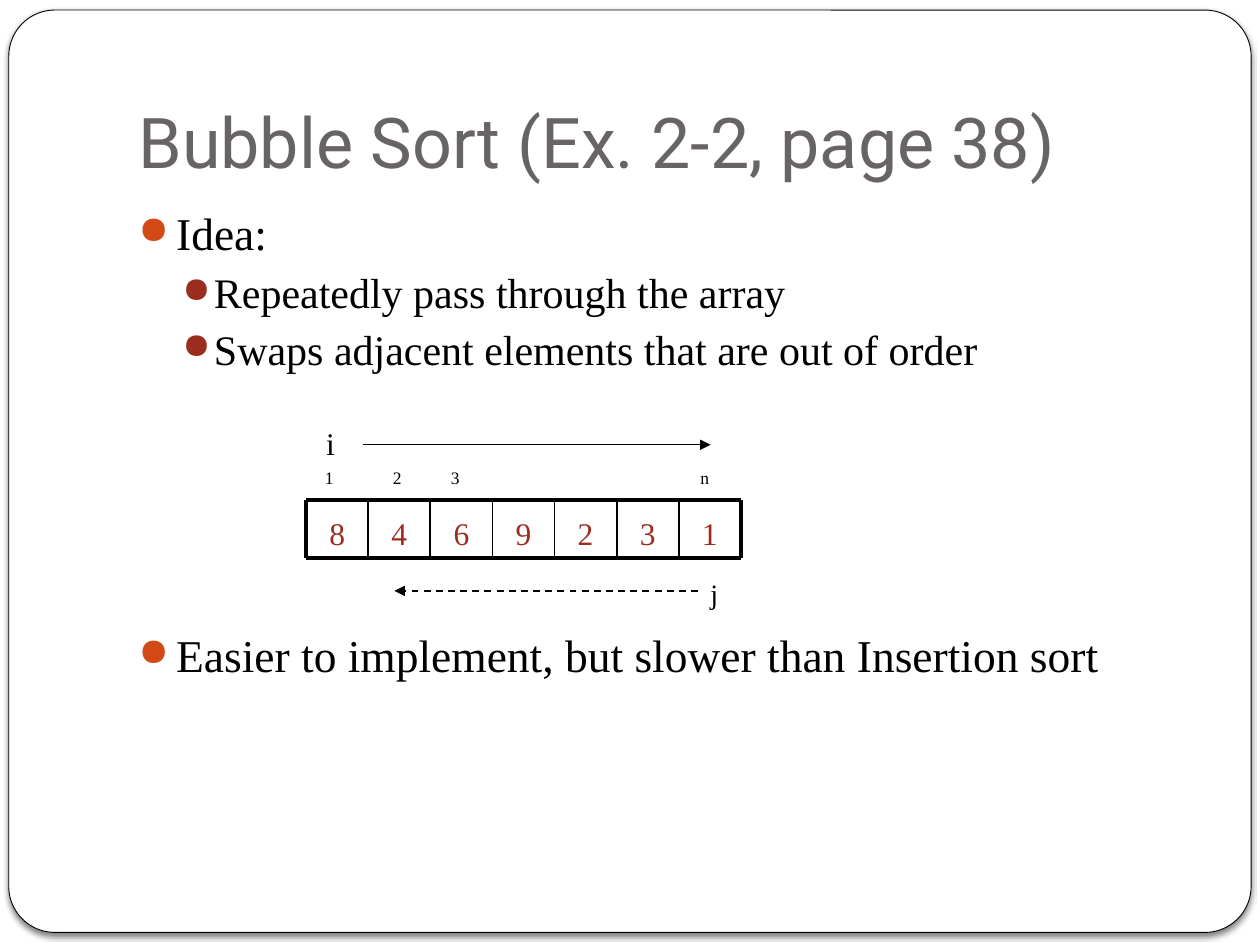
from dataclasses import dataclass

from lxml import etree
from pptx import Presentation
from pptx import util as u
from pptx.dml.color import RGBColor
from pptx.enum import dml, shapes, text
from pptx.oxml import ns


@dataclass(frozen=True)
class Theme:
    head: str = "Roboto"
    body: str = "Times New Roman"
    black: RGBColor = RGBColor.from_string("000000")
    white: RGBColor = RGBColor.from_string("FFFFFF")
    grey: RGBColor = RGBColor.from_string("696464")
    orange: RGBColor = RGBColor.from_string("D34817")
    red: RGBColor = RGBColor.from_string("9B2D1F")
    title: int = 40
    main: int = 26
    sub: int = 24
    value: int = 18
    small: int = 16
    index: int = 10


theme = Theme()
prs = Presentation()
prs.slide_width, prs.slide_height = u.Inches(10), u.Inches(7.5)
slide = prs.slides.add_slide(prs.slide_layouts[5])


def add_label(words, left, top, width, height, size, color=theme.black):
    box = slide.shapes.add_textbox(*map(u.Inches, (left, top, width, height)))
    para = box.text_frame.paragraphs[0]
    para.text = words
    para.font.name, para.font.size = theme.body, u.Pt(size)
    para.font.color.rgb = color
    return box.text_frame


def add_line(x1, y1, x2, y2, width, arrow=False, dash=False):
    line = slide.shapes.add_connector(
        shapes.MSO_CONNECTOR.STRAIGHT, *map(u.Inches, (x1, y1, x2, y2)))
    line.line.color.rgb = theme.black
    line.line.width = u.Pt(width)
    if dash:
        line.line.dash_style = dml.MSO_LINE.DASH
    props = line.element.spPr
    if arrow:
        etree.SubElement(props.find(ns.qn("a:ln")), ns.qn("a:tailEnd"), type="triangle")
    etree.SubElement(props, ns.qn("a:effectLst"))


# Title
title = slide.shapes.title
title.left, title.top = u.Inches(1), u.Inches(0.3)
title.width, title.height = u.Inches(8.5), u.Inches(1.25)
frame = title.text_frame
frame.text = "Bubble Sort (Ex. 2-2, page 38)"
frame.word_wrap = True
frame.auto_size = text.MSO_AUTO_SIZE.NONE
frame.vertical_anchor = text.MSO_ANCHOR.BOTTOM
frame.margin_bottom = u.Inches(0.1)
para = frame.paragraphs[0]
para.alignment = text.PP_ALIGN.LEFT
para.font.name, para.font.size = theme.head, u.Pt(theme.title)
para.font.color.rgb = theme.grey

# Rounded card behind everything, with a soft shadow
card = slide.shapes.add_shape(
    shapes.MSO_SHAPE.ROUNDED_RECTANGLE, *map(u.Inches, (0.07, 0.08, 9.86, 7.32)))
card.adjustments[0] = 0.05
card.fill.solid()
card.fill.fore_color.rgb = theme.white
card.line.color.rgb = theme.black
card.line.width = u.Pt(0.5)
card.shadow.inherit = False
shadow = etree.SubElement(
    card.element.spPr.find(ns.qn("a:effectLst")), ns.qn("a:outerShdw"),
    blurRad=str(u.Pt(3)), dist=str(u.Pt(2)), dir="5400000", rotWithShape="0")
tint = etree.SubElement(shadow, ns.qn("a:srgbClr"), val=str(theme.black))
etree.SubElement(tint, ns.qn("a:alpha"), val="50000")
title.element.addprevious(card.element)

# Bullets; the last one leaves room for the array
bullets = [
    ("Idea:", 0, 5.8),
    ("Repeatedly pass through the array", 1, 3.7),
    ("Swaps adjacent elements that are out of order", 1, 3.7),
    ("Easier to implement, but slower than Insertion sort", 0, 145),
]
levels = [(theme.main, theme.orange, 0.3, 0.3), (theme.sub, theme.red, 0.6, 0.25)]
frame = slide.shapes.add_textbox(*map(u.Inches, (1, 1.58, 8.5, 5))).text_frame
frame.word_wrap = True
for row, (words, level, gap) in enumerate(bullets):
    size, color, left, hang = levels[level]
    para = frame.add_paragraph() if row else frame.paragraphs[0]
    para.text, para.level = words, level
    para.space_before = u.Pt(gap)
    para.font.name, para.font.size = theme.body, u.Pt(size)
    para.font.color.rgb = theme.black
    props = para._p.get_or_add_pPr()
    props.set("marL", str(u.Inches(left)))
    props.set("indent", str(-u.Inches(hang)))
    mark = etree.SubElement(props, ns.qn("a:buClr"))
    etree.SubElement(mark, ns.qn("a:srgbClr"), val=str(color))
    etree.SubElement(props, ns.qn("a:buSzPct"), val="85000")
    etree.SubElement(props, ns.qn("a:buChar"), char="●")
    # Paragraph font settings come last in the properties
    props.append(props.find(ns.qn("a:defRPr")))

# Index labels and the forward arrow
for words, left in [("1", 2.48), ("2", 3.02), ("3", 3.48), ("n", 5.46)]:
    add_label(words, left, 3.66, 0.25, 0.27, theme.index).word_wrap = True
add_label("i", 2.49, 3.32, 0.25, 0.4, theme.value)
add_line(2.88, 3.53, 5.64, 3.53, 0.75, arrow=True)

# Array values
values = "8469231"
left, right, top, bottom = 2.43, 5.88, 3.97, 4.43
step = (right - left) / len(values)
for col, value in enumerate(values):
    frame = add_label(value, left + col * step, top, step, bottom - top,
                      theme.value, theme.red)
    frame.word_wrap = True
    frame.vertical_anchor = text.MSO_ANCHOR.BOTTOM
    frame.paragraphs[0].alignment = text.PP_ALIGN.CENTER
    frame.paragraphs[0].space_before = u.Pt(3.6)

# Array grid: heavy outside, thin inside
for y in (top, bottom):
    add_line(left, y, right, y, 2.25)
for col in range(len(values) + 1):
    x = left + col * step
    add_line(x, top, x, bottom, 2.25 if col in (0, len(values)) else 1)

# Backward arrow
add_label("j", 5.54, 4.53, 0.25, 0.36, theme.small)
add_line(5.54, 4.69, 3.13, 4.69, 1, arrow=True, dash=True)

prs.save("out.pptx")
